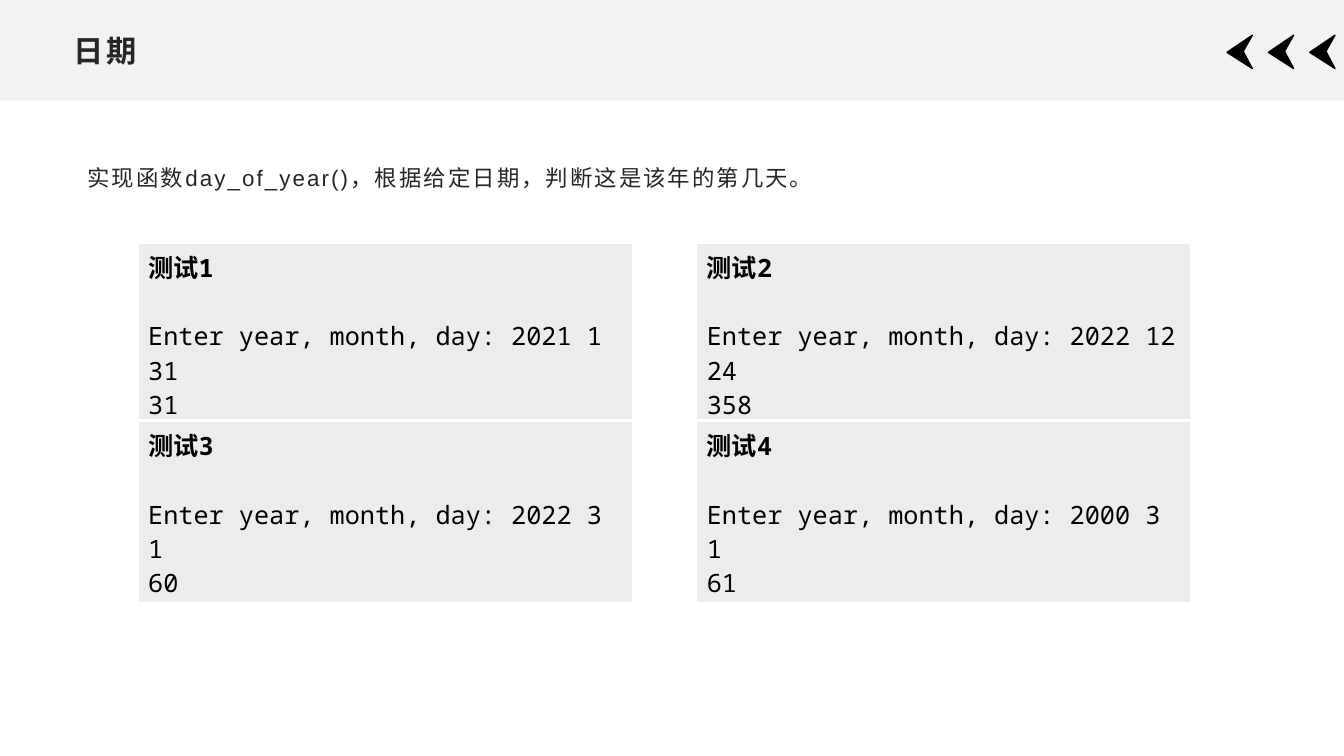
from lxml import etree
from pptx import Presentation
from pptx.dml.color import RGBColor
from pptx.enum.shapes import MSO_SHAPE
from pptx.enum.text import MSO_ANCHOR
from pptx.oxml.ns import qn
from pptx.util import Pt

RECT = MSO_SHAPE.RECTANGLE
MIDDLE, TOP = MSO_ANCHOR.MIDDLE, MSO_ANCHOR.TOP
PX = 9144  # EMU per px, 100 px to the inch
COLORS = {"band": "F2F2F2", "ink": "262626", "black": "000000",
          "panel": "ECECEA", "white": "FFFFFF"}
HEAD_FONT, CODE_FONT = "Arial", "Noto Sans Mono"


def rgb(name):
    return RGBColor.from_string(COLORS[name])


class SlideBuilder:
    def __init__(self, prs):
        self.s = prs.slides.add_slide(prs.slide_layouts[6])

    def style_run(self, r, size, font, color, bold=False, spacing=0):
        r.font.size = Pt(size)
        r.font.name = font
        r.font.bold = bold
        r.font.color.rgb = rgb(color)
        if spacing:
            r.font._element.set("spc", str(int(spacing * 100)))

    def band(self, x, y, w, h, color):
        sp = self.s.shapes.add_shape(RECT, x * PX, y * PX, w * PX, h * PX)
        sp.shadow.inherit = False
        sp.fill.solid()
        sp.fill.fore_color.rgb = rgb(color)
        sp.line.fill.background()

    def arrow(self, x, y):
        fb = self.s.shapes.build_freeform(x, y, scale=PX)
        fb.add_line_segments([(x + 25, y - 17), (x + 16, y - 1), (x + 25, y + 16)])
        sp = fb.convert_to_shape()
        sp.shadow.inherit = False
        sp.fill.solid()
        sp.fill.fore_color.rgb = rgb("black")
        sp.line.color.rgb = rgb("black")
        sp.line.width = Pt(1)

    def text(self, x, y, w, h, text, size, anchor, bold, spacing):
        sp = self.s.shapes.add_textbox(x * PX, y * PX, w * PX, h * PX)
        tf = sp.text_frame
        tf.word_wrap = True
        tf.vertical_anchor = anchor
        tf.text = text
        p = tf.paragraphs[0]
        self.style_run(p.runs[0], size, HEAD_FONT, "ink", bold, spacing)
        return p

    def border(self, cell, side, width):
        ln = etree.SubElement(cell._tc.get_or_add_tcPr(), qn("a:ln" + side),
                              w=str(Pt(width)))
        fill = etree.SubElement(ln, qn("a:solidFill"))
        etree.SubElement(fill, qn("a:srgbClr"), val=COLORS["white"])

    def test_panel(self, x, y, w, h, lines):
        frame = self.s.shapes.add_table(1, 1, x * PX, y * PX, w * PX, h * PX)
        cell = frame.table.cell(0, 0)
        # Borders come before the fill in the cell properties
        for side, width in (("L", 1), ("R", 1), ("T", 1), ("B", 3)):
            self.border(cell, side, width)
        cell.fill.solid()
        cell.fill.fore_color.rgb = rgb("panel")
        tf = cell.text_frame
        tf.text = "\n".join(lines)
        for i, p in enumerate(tf.paragraphs):
            self.style_run(p.runs[0], 18, CODE_FONT, "black", bold=i == 0)
        tf.paragraphs[1].space_before = Pt(24.5)  # one line of air under the heading


def main():
    prs = Presentation()
    prs.slide_width, prs.slide_height = 1333 * PX, 750 * PX
    slide = SlideBuilder(prs)

    # Header
    slide.band(0, 0, 1333, 100, "band")
    for i in range(3):
        slide.arrow(1217 + 41 * i, 52)
    slide.text(63, 26, 1207, 48, "日期", 21.6, MIDDLE, True, 2)

    # Task
    p = slide.text(77, 150, 753, 53,
                   "实现函数day_of_year()，根据给定日期，判断这是该年的第几天。",
                   16, TOP, False, 1.5)
    p.line_spacing = 1.3
    p.space_after = Pt(10)

    # Test cases, two by two; the upper row ends where the lower one starts
    tests = [("2021 1 31", "31"), ("2022 12 24", "358"),
             ("2022 3 1", "60"), ("2000 3 1", "61")]
    row_heights = (177, 181)
    for i, (date, result) in enumerate(tests):
        row, col = divmod(i, 2)
        slide.test_panel(137 + 554 * col, 241 + row_heights[0] * row,
                         490, row_heights[row],
                         [f"测试{i + 1}", f"Enter year, month, day: {date}", result])

    prs.save("out.pptx")


if __name__ == "__main__":
    main()
